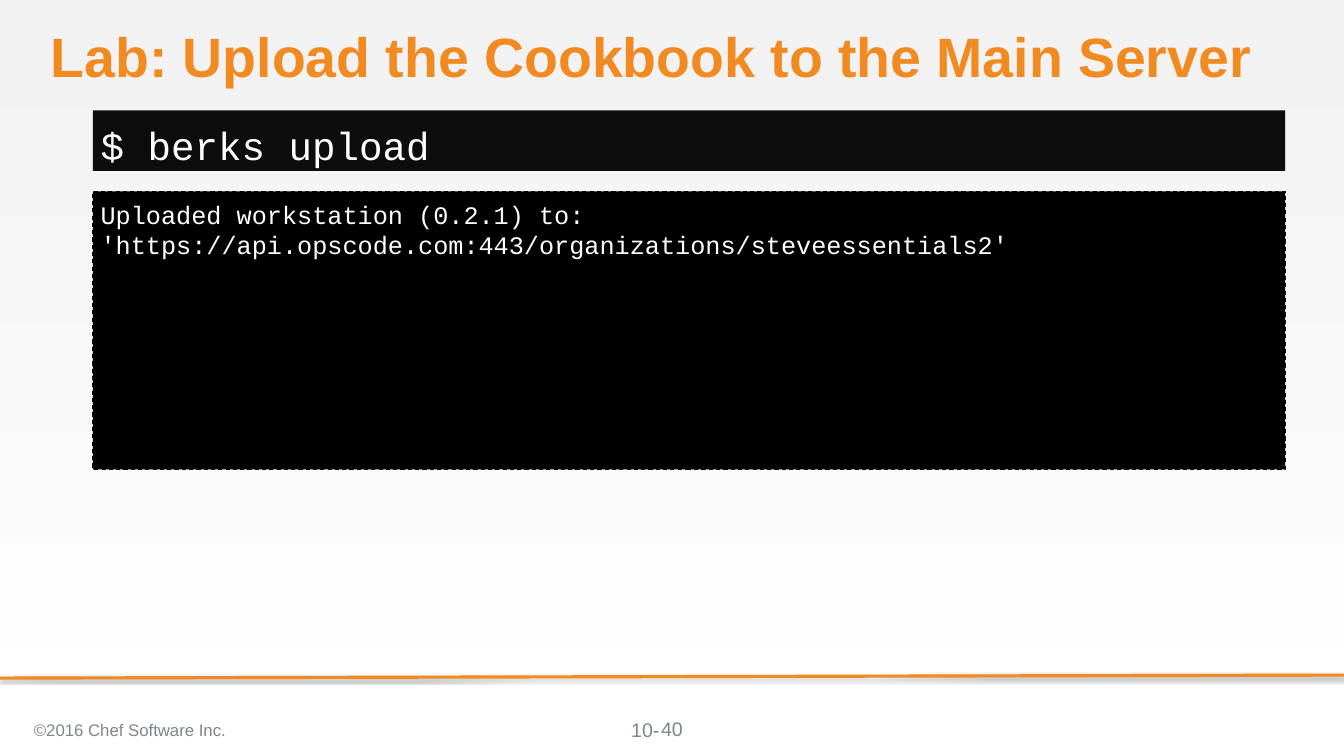
"""Build the cookbook upload lab slide with its terminal command and output."""
from lxml.etree import SubElement
from pptx import Presentation
from pptx.dml.color import RGBColor
from pptx.enum.dml import MSO_LINE
from pptx.enum.shapes import MSO_CONNECTOR
from pptx.enum.text import MSO_ANCHOR, MSO_AUTO_SIZE, PP_ALIGN
from pptx.oxml import parse_xml
from pptx.oxml.ns import nsdecls, qn
from pptx.util import Inches, Pt

ORANGE = RGBColor(0xF1, 0x8B, 0x21)
GRAY = RGBColor(0x7D, 0x86, 0x8C)
PALE = RGBColor(0xF2, 0xF2, 0xF2)
WHITE = RGBColor(0xFF, 0xFF, 0xFF)
BLACK = RGBColor(0x00, 0x00, 0x00)
CHARCOAL = RGBColor(0x0D, 0x0D, 0x0D)
LEFT, WIDTH = 1.23, 15.77


def place(sp, box, insets, anchor):
    """Position a shape and set up its text frame."""
    sp.left, sp.top, sp.width, sp.height = [Inches(v) for v in box]
    tf = sp.text_frame
    tf.auto_size = MSO_AUTO_SIZE.NONE
    tf.word_wrap = True
    tf.vertical_anchor = anchor
    tf.margin_left, tf.margin_top, tf.margin_right, tf.margin_bottom = [Inches(v) for v in insets]


def write(sp, text, font, size, color, align=PP_ALIGN.LEFT, bold=False):
    """Set the single paragraph of a shape and format its run."""
    sp.text_frame.text = text
    p = sp.text_frame.paragraphs[0]
    p.alignment = align
    p.space_before = Pt(0)
    r = p.runs[0]
    r.font.name, r.font.size, r.font.bold = font, Pt(size), bold
    r.font.color.rgb = color
    return p


prs = Presentation()
prs.slide_width, prs.slide_height = Inches(17.78), Inches(10)
s = prs.slides.add_slide(prs.slide_layouts[3])

fill = s.background.fill
fill.gradient()
fill.gradient_angle = 270
for stop, color, position in zip(fill.gradient_stops, (PALE, WHITE), (0, 1)):
    stop.color.rgb = color
    stop.position = position

rule = s.shapes.add_connector(
    MSO_CONNECTOR.STRAIGHT, prs.slide_width, Inches(8.93), 0, Inches(8.97))
rule.line.color.rgb = ORANGE
rule.line.width = Pt(3)
rule._element.spPr.append(parse_xml(
    f'<a:effectLst {nsdecls("a")}><a:outerShdw blurRad="39370" dist="22860" dir="5400000">'
    '<a:srgbClr val="000000"><a:alpha val="35000"/></a:srgbClr></a:outerShdw></a:effectLst>'))

title, command, output = s.placeholders
place(title, (0.67, 0.33, 16.33, 0.91), (0, 0, 0, 0), MSO_ANCHOR.MIDDLE)
p = write(title, "Lab: Upload the Cookbook to the Main Server", "Arial", 52.8, ORANGE, bold=True)
p.line_spacing = 0.9

panels = [
    (command, 1.46, 0.8, CHARCOAL, (0.1, 0.11, 0, 0), MSO_ANCHOR.MIDDLE, "$ berks upload", 37.3),
    (output, 2.53, 3.68, BLACK, (0.1, 0.1, 0.1, 0.05), MSO_ANCHOR.TOP,
     "Uploaded workstation (0.2.1) to: "
     "'https://api.opscode.com:443/organizations/steveessentials2'", 24),
]
for sp, top, height, color, insets, anchor, text, size in panels:
    place(sp, (LEFT, top, WIDTH, height), insets, anchor)
    sp.fill.solid()
    sp.fill.fore_color.rgb = color
    p = write(sp, text, "Courier New", size, WHITE)
    pPr = p._p.get_or_add_pPr()
    pPr.set("marL", "0")
    pPr.set("indent", "0")
    SubElement(pPr, qn("a:buNone"))
output.line.color.rgb = BLACK
output.line.width = Pt(1)
output.line.dash_style = MSO_LINE.DASH

footers = [
    ("©2016 Chef Software Inc.", (0.35, 9.38, 6.21, 0.56), (0.1, 0.05, 0.1, 0.05),
     MSO_ANCHOR.MIDDLE, 16, PP_ALIGN.LEFT),
    ("10-", (8.31, 9.49, 0.8, 0.31), (0.04, 0, 0, 0), MSO_ANCHOR.TOP, 18.7, PP_ALIGN.LEFT),
    ("40", (6.89, 9.38, 4, 0.53), (0.1, 0.05, 0.1, 0.05),
     MSO_ANCHOR.MIDDLE, 18.7, PP_ALIGN.CENTER),
]
for text, box, insets, anchor, size, align in footers:
    sp = s.shapes.add_textbox(0, 0, 0, 0)
    place(sp, box, insets, anchor)
    write(sp, text, "Arial", size, GRAY, align)

prs.save("out.pptx")
